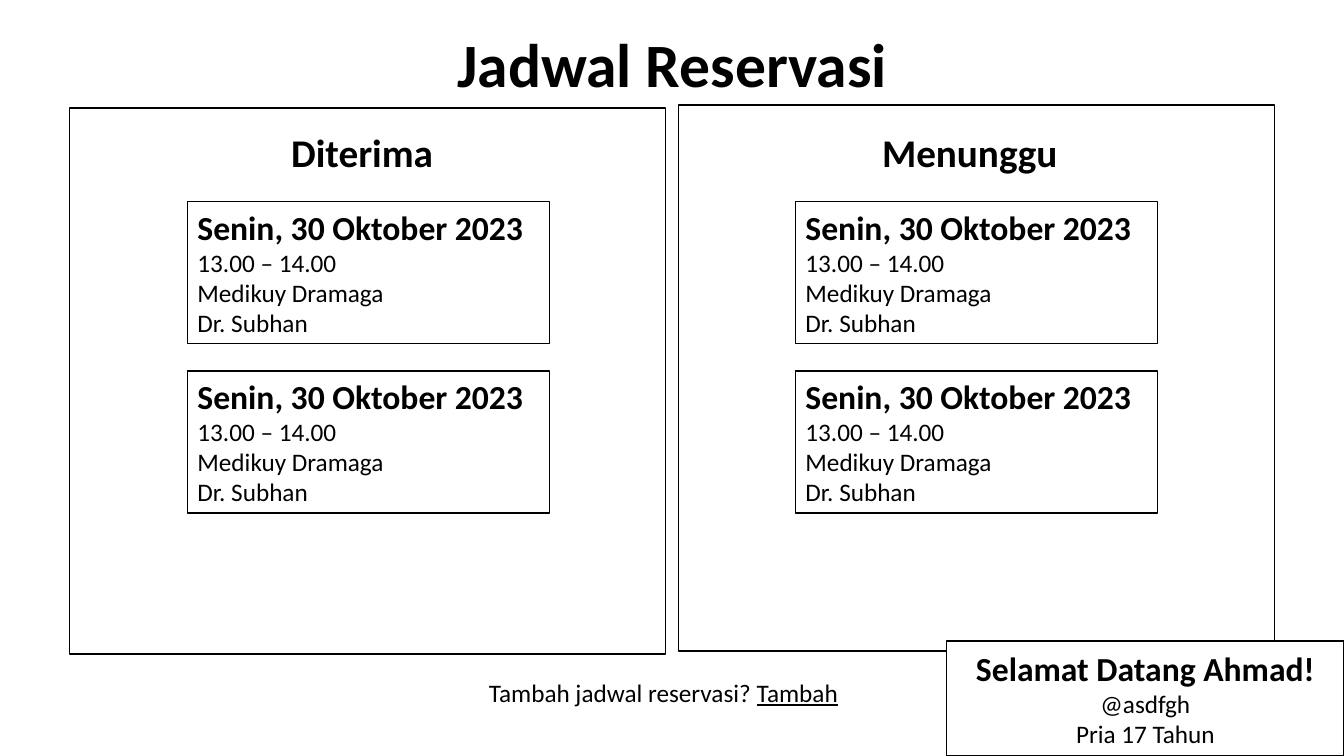
from dataclasses import dataclass

from pptx import Presentation
from pptx.dml.color import RGBColor
from pptx.enum.shapes import MSO_SHAPE
from pptx.enum.text import MSO_ANCHOR, MSO_AUTO_SIZE, PP_ALIGN
from pptx.util import Pt

EMU_PER_PX = 9144


@dataclass(frozen=True)
class Theme:
    font: str = "Calibri"
    ink: RGBColor = RGBColor(0, 0, 0)
    paper: RGBColor = RGBColor(255, 255, 255)
    title: int = 44
    heading: int = 28
    lead: int = 24
    body: int = 18
    outline: int = 1


class SlideBuilder:
    def __init__(self, slide, theme):
        self.slide = slide
        self.theme = theme

    def scale(self, box):
        return [length * EMU_PER_PX for length in box]

    def style_run(self, run, size, bold=False, underline=False):
        run.font.name = self.theme.font
        run.font.size = Pt(size)
        run.font.bold = bold
        run.font.underline = underline
        run.font.color.rgb = self.theme.ink

    def panel(self, box):
        shape = self.slide.shapes.add_shape(MSO_SHAPE.RECTANGLE, *self.scale(box))
        shape.shadow.inherit = False
        shape.fill.solid()
        shape.fill.fore_color.rgb = self.theme.paper
        shape.line.color.rgb = self.theme.ink
        shape.line.width = Pt(self.theme.outline)
        return shape

    def card(self, box, lines, alignment=PP_ALIGN.LEFT, anchor=MSO_ANCHOR.TOP):
        text_frame = self.panel(box).text_frame
        text_frame.word_wrap = True
        text_frame.vertical_anchor = anchor
        text_frame.text = "\n".join(lines)
        for index, paragraph in enumerate(text_frame.paragraphs):
            paragraph.alignment = alignment
            size = self.theme.body if index else self.theme.lead
            self.style_run(paragraph.runs[0], size, bold=index == 0)

    def label(self, box, text, size, bold=False, alignment=PP_ALIGN.LEFT, action=None):
        text_frame = self.slide.shapes.add_textbox(*self.scale(box)).text_frame
        text_frame.word_wrap = True
        text_frame.auto_size = MSO_AUTO_SIZE.SHAPE_TO_FIT_TEXT
        text_frame.text = text
        paragraph = text_frame.paragraphs[0]
        paragraph.alignment = alignment
        self.style_run(paragraph.runs[0], size, bold)
        if action:
            run = paragraph.add_run()
            run.text = action
            self.style_run(run, size, bold, underline=True)


def main():
    presentation = Presentation()
    presentation.slide_width = 1333 * EMU_PER_PX
    presentation.slide_height = 750 * EMU_PER_PX
    slide = presentation.slides.add_slide(presentation.slide_layouts[6])
    theme = Theme()
    builder = SlideBuilder(slide, theme)

    reservation = ["Senin, 30 Oktober 2023", "13.00 – 14.00", "Medikuy Dramaga", "Dr. Subhan"]
    columns = [
        ("Menunggu", (673, 104), (865, 206), 789),
        ("Diterima", (69, 107), (279, 184), 186),
    ]
    builder.label((443, 21, 448, 84), "Jadwal Reservasi", theme.title, True, PP_ALIGN.CENTER)
    for heading, corner, (heading_left, heading_width), card_left in columns:
        builder.panel((*corner, 591, 542))
        builder.label((heading_left, 122, heading_width, 57), heading, theme.heading, True)
        for card_top in (200, 368):
            builder.card((card_left, card_top, 359, 141), reservation)

    builder.label((475, 667, 383, 40), "Tambah jadwal reservasi? ", theme.body, action="Tambah")
    builder.card(
        (939, 636, 394, 114),
        ["Selamat Datang Ahmad!", "@asdfgh", "Pria 17 Tahun"],
        PP_ALIGN.CENTER,
        MSO_ANCHOR.MIDDLE,
    )
    presentation.save("out.pptx")


if __name__ == "__main__":
    main()
